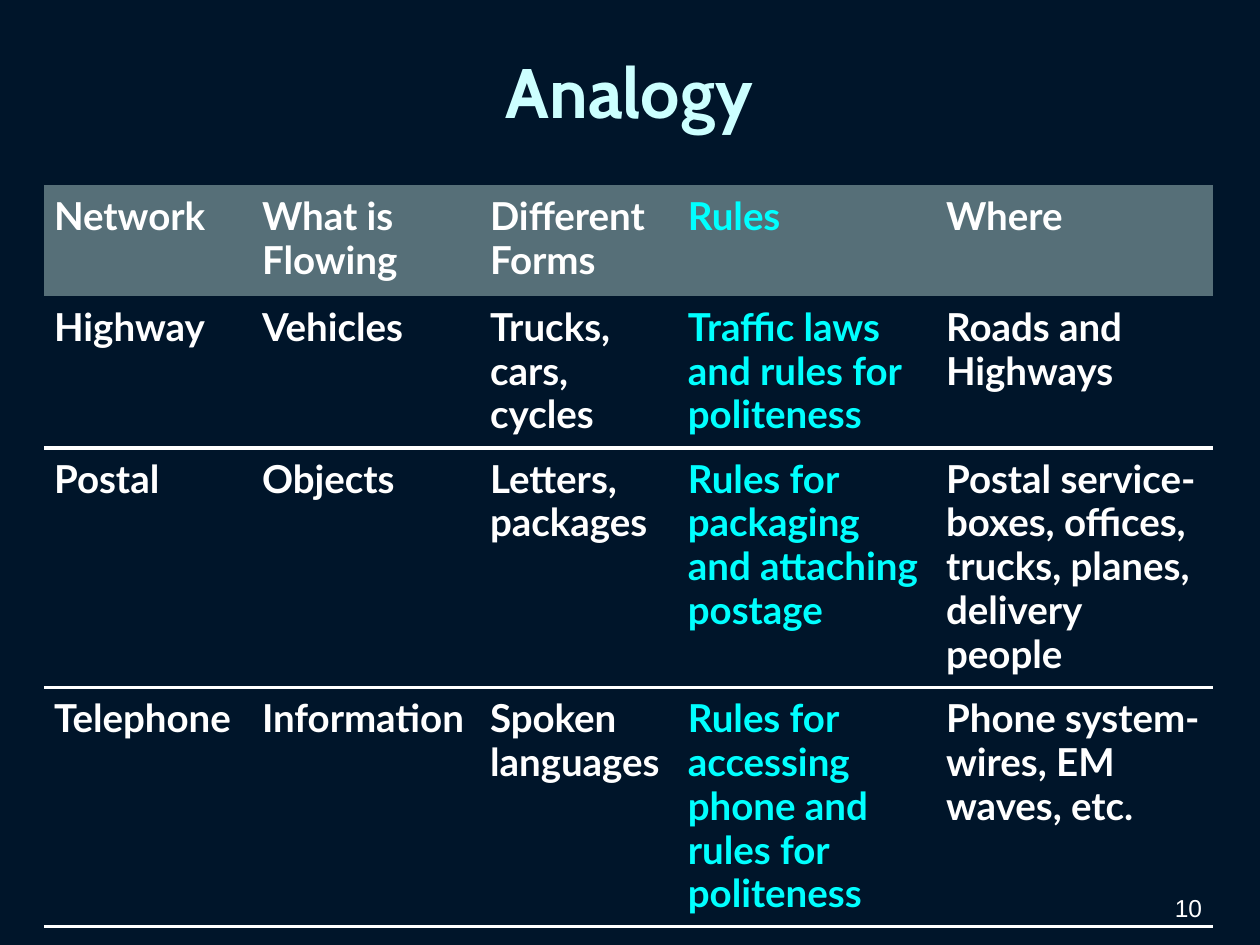
from dataclasses import dataclass

import pptx
import pptx.dml.color
import pptx.enum.text
import pptx.oxml
import pptx.oxml.ns
import pptx.util
from pptx.dml.color import RGBColor

NAVY = RGBColor(0x00, 0x15, 0x2A)
SLATE = RGBColor(0x56, 0x6F, 0x78)
WHITE = RGBColor(0xFF, 0xFF, 0xFF)
CYAN = RGBColor(0x00, 0xFF, 0xFF)
PALE_CYAN = RGBColor(0xCC, 0xFF, 0xFF)

ALIGN = pptx.enum.text.PP_ALIGN
ANCHOR = pptx.enum.text.MSO_ANCHOR
PLAIN_TABLE_STYLE = "{2D5ABB26-0587-4C30-8999-92F81FD0307C}"

SLIDE_WIDTH, SLIDE_HEIGHT = 10, 7.5
LEFT, CONTENT_WIDTH = 0.35, 9.29
CELL_INSET = 0.08
RULE_POINTS = 2.25
ROW_HEIGHTS = (0.88, 1.18, 1.51, 1.84)


@dataclass(frozen=True)
class Column:
    width: float
    entries: tuple[str, ...]  # heading, highway, postal, telephone
    color: RGBColor = WHITE


COLUMNS = (
    Column(1.65, ("Network", "Highway", "Postal", "Telephone")),
    Column(1.81, ("What is Flowing", "Vehicles", "Objects", "Information")),
    Column(1.57, ("Different Forms", "Trucks, cars, cycles",
                  "Letters, packages", "Spoken languages")),
    Column(2.05, ("Rules", "Traffic laws and rules for politeness",
                  "Rules for packaging and attaching postage",
                  "Rules for accessing phone and rules for politeness"), CYAN),
    Column(2.2, ("Where", "Roads and Highways",
                 "Postal service-boxes, offices, trucks, planes, delivery people",
                 "Phone system-wires, EM waves, etc.")),
)


def write(frame, text: str, *, font: str, size: float, color: RGBColor,
          bold: bool = False, align=ALIGN.LEFT, spacing: float = 1.0) -> None:
    paragraph = frame.paragraphs[0]
    paragraph.alignment = align
    paragraph.line_spacing = spacing
    run = paragraph.add_run()
    run.text = text
    run.font.name = font
    run.font.size = pptx.util.Pt(size)
    run.font.bold = bold
    run.font.color.rgb = color


def place(shape, left: float, top: float, width: float, height: float) -> None:
    shape.left, shape.top, shape.width, shape.height = map(
        pptx.util.Inches, (left, top, width, height))


def rule_below(cell) -> None:
    border = pptx.oxml.parse_xml(
        f'<a:lnB {pptx.oxml.ns.nsdecls("a")} w="{pptx.util.Pt(RULE_POINTS)}">'
        f'<a:solidFill><a:srgbClr val="{WHITE}"/></a:solidFill></a:lnB>')
    cell._tc.get_or_add_tcPr().insert(0, border)


def fill_cell(cell, text: str, color: RGBColor, is_heading: bool) -> None:
    inset = pptx.util.Inches(CELL_INSET)
    cell.margin_left = cell.margin_right = inset
    cell.margin_top = cell.margin_bottom = inset
    cell.vertical_anchor = ANCHOR.TOP
    if is_heading:
        cell.fill.solid()
        cell.fill.fore_color.rgb = SLATE
    else:
        cell.fill.background()
        rule_below(cell)
    write(cell.text_frame, text, font="Lato", size=22, color=color,
          bold=True, spacing=0.95)


def add_analogy_table(slide) -> None:
    table = slide.shapes.add_table(
        len(ROW_HEIGHTS), len(COLUMNS),
        *map(pptx.util.Inches, (LEFT, 1.47, CONTENT_WIDTH, sum(ROW_HEIGHTS)))).table
    table.first_row = table.horz_banding = False
    style = table._tbl.tblPr.find(pptx.oxml.ns.qn("a:tableStyleId"))
    style.text = PLAIN_TABLE_STYLE
    for row, height in zip(table.rows, ROW_HEIGHTS):
        row.height = pptx.util.Inches(height)
    for c, column in enumerate(COLUMNS):
        table.columns[c].width = pptx.util.Inches(column.width)
        for r, entry in enumerate(column.entries):
            fill_cell(table.cell(r, c), entry, column.color, is_heading=r == 0)


def main() -> None:
    deck = pptx.Presentation()
    deck.slide_width = pptx.util.Inches(SLIDE_WIDTH)
    deck.slide_height = pptx.util.Inches(SLIDE_HEIGHT)
    slide = deck.slides.add_slide(deck.slide_layouts.get_by_name("Title Only"))
    slide.background.fill.solid()
    slide.background.fill.fore_color.rgb = NAVY

    # Page number
    page_number = slide.shapes.add_textbox(0, 0, 0, 0)
    place(page_number, 7.31, 6.9, 2.33, 0.47)
    page_number.text_frame.word_wrap = True
    page_number.text_frame.vertical_anchor = ANCHOR.BOTTOM
    write(page_number.text_frame, "10", font="Arial", size=14, color=WHITE,
          align=ALIGN.RIGHT)

    # Title
    title = slide.shapes.title
    place(title, LEFT, 0.13, CONTENT_WIDTH, 1.18)
    title.text_frame.vertical_anchor = ANCHOR.MIDDLE
    write(title.text_frame, "Analogy", font="Cabin", size=40, color=PALE_CYAN,
          bold=True, align=ALIGN.CENTER)

    # Comparison of networks
    add_analogy_table(slide)

    deck.save("out.pptx")


if __name__ == "__main__":
    main()
